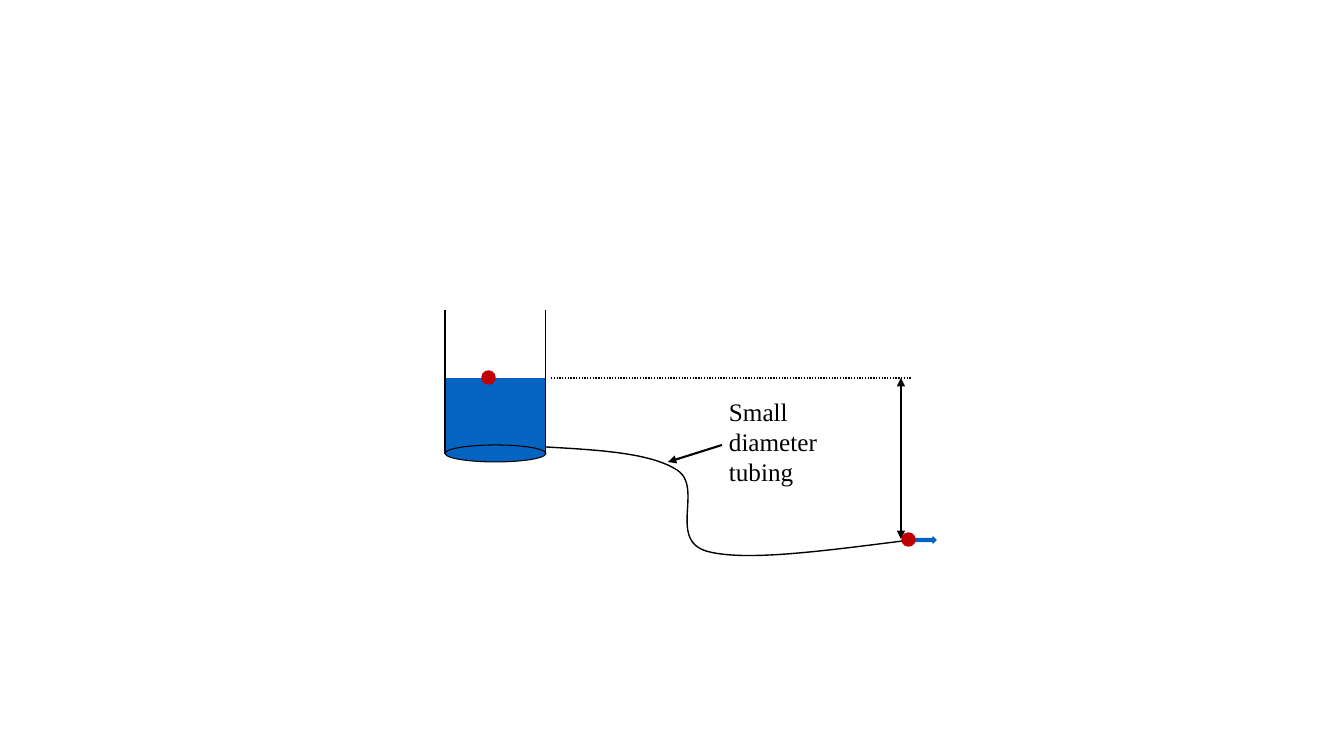
"""Draw a water tank that drains through small diameter tubing."""
from lxml.etree import SubElement
from pptx import Presentation
from pptx.dml.color import RGBColor
from pptx.enum.dml import MSO_LINE
from pptx.enum.shapes import MSO_CONNECTOR, MSO_SHAPE
from pptx.oxml.ns import qn
from pptx.util import Pt

BLACK = RGBColor(0x00, 0x00, 0x00)
BLUE = RGBColor(0x05, 0x63, 0xC1)
RED = RGBColor(0xC0, 0x00, 0x00)

SCALE = 914400 / 100.8
SIZE = 1344, 756
LABEL = "Small diameter tubing"
LABEL_BOX = 719, 391, 126, 102
LEFT, RIGHT = 445, 546
TOP, LEVEL, BASE = 310, 378, 454
WALLS = [(LEFT, TOP, LEFT, BASE), (RIGHT, BASE, RIGHT, TOP)]
POINTER = 722, 445, 668, 462
DATUM = 551, LEVEL, 911, LEVEL
DROP = 901, LEVEL, 901, 539
JET = 903, 537, 33, 6
DOT = 13
DOTS = [(482, 371), (902, 533)]
START = RIGHT, 447
CURVES = [
    ((599, 450), (651, 453), (677, 470)),
    ((704, 487), (668, 539), (706, 551)),
    ((743, 562), (823, 551), (903, 541)),
]
STEPS = 24


def emu(*nums):
    return [round(n * SCALE) for n in nums]


def add_form(kind, box, fill, edge=None, width=1):
    form = slide.shapes.add_shape(kind, *emu(*box))
    form.shadow.inherit = False
    form.fill.solid()
    form.fill.fore_color.rgb = fill
    if edge is None:
        form.line.fill.background()
    else:
        form.line.color.rgb = edge
        form.line.width = Pt(width)


def add_line(ends, width, dash=None, heads=()):
    link = slide.shapes.add_connector(MSO_CONNECTOR.STRAIGHT, *emu(*ends))
    link.line.color.rgb = BLACK
    link.line.width = Pt(width)
    if dash:
        link.line.dash_style = dash
    for end in heads:
        SubElement(link.line._get_or_add_ln(), qn(f"a:{end}"), type="triangle")
    SubElement(link._element.spPr, qn("a:effectLst"))


def trace(start, curves):
    for one, two, end in curves:
        for step in range(1, STEPS + 1):
            t = step / STEPS
            s = 1 - t
            yield emu(*(s**3 * a + 3 * s * s * t * b + 3 * s * t * t * c + t**3 * d
                        for a, b, c, d in zip(start, one, two, end)))
        start = end


def add_tube():
    path = slide.shapes.build_freeform(*emu(*START))
    path.add_line_segments(list(trace(START, CURVES)), close=False)
    tube = path.convert_to_shape()
    tube.shadow.inherit = False
    tube.fill.background()
    tube.line.color.rgb = BLACK
    tube.line.width = Pt(1)


def add_label():
    frame = slide.shapes.add_textbox(*emu(*LABEL_BOX)).text_frame
    frame.word_wrap = True
    para = frame.paragraphs[0]
    para.text = LABEL
    para.font.name = "Times New Roman"
    para.font.size = Pt(18)
    para.font.color.rgb = BLACK


deck = Presentation()
deck.slide_width, deck.slide_height = emu(*SIZE)
slide = deck.slides.add_slide(deck.slide_layouts[6])

span = RIGHT - LEFT
add_form(MSO_SHAPE.RECTANGLE, (LEFT, LEVEL, span, BASE - LEVEL), BLUE)
add_form(MSO_SHAPE.OVAL, (LEFT, 445, span, 17), BLUE, BLACK, 0.75)
for wall in WALLS:
    add_line(wall, 0.75)
add_line(POINTER, 1.5, heads=["tailEnd"])
add_label()
add_tube()
add_line(DATUM, 1, MSO_LINE.ROUND_DOT)
add_line(DROP, 1, heads=["headEnd", "tailEnd"])
add_form(MSO_SHAPE.RIGHT_ARROW, JET, BLUE, BLUE)
for x, y in DOTS:
    add_form(MSO_SHAPE.OVAL, (x, y, DOT, DOT), RED, RED)

deck.save("out.pptx")
